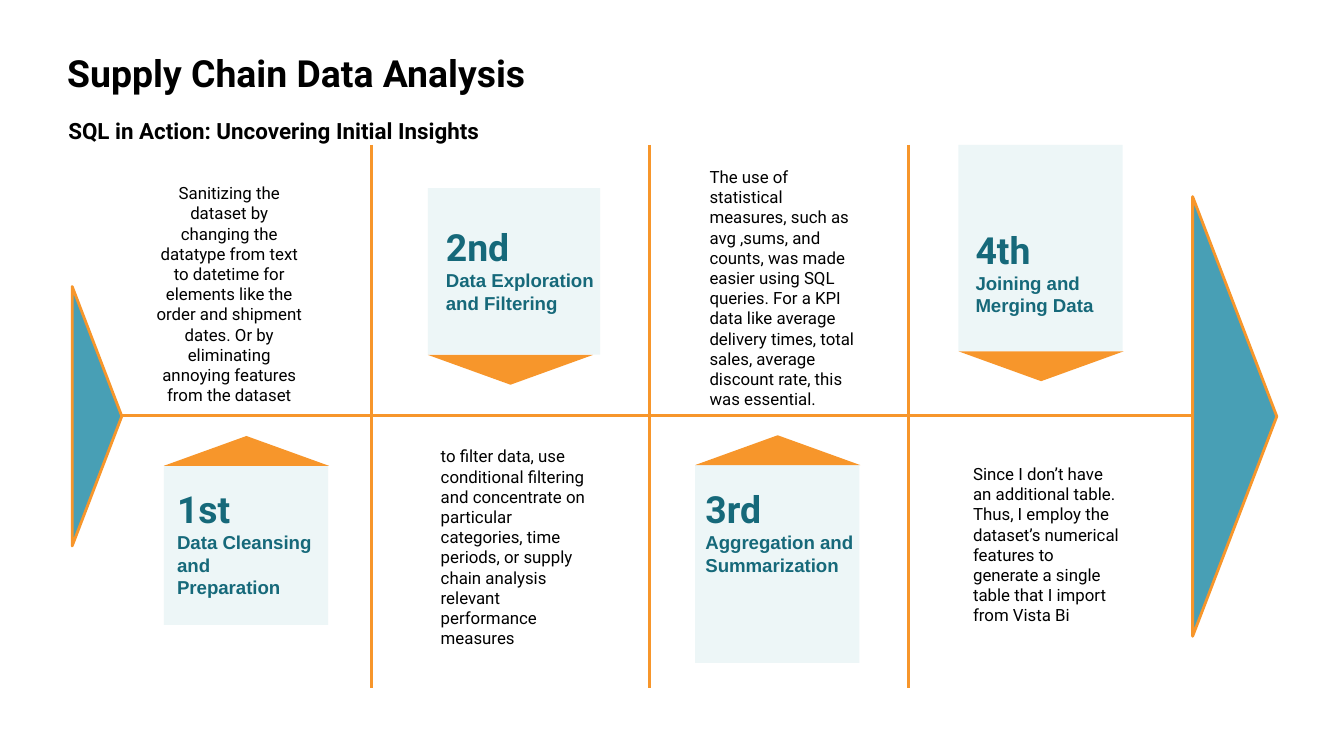
from dataclasses import dataclass

from lxml import etree
from pptx import Presentation
from pptx.dml.color import RGBColor
from pptx.enum.shapes import MSO_CONNECTOR, MSO_SHAPE
from pptx.enum.text import MSO_ANCHOR, MSO_AUTO_SIZE, PP_ALIGN
from pptx.oxml.ns import qn
from pptx.util import Pt

STRAIGHT = MSO_CONNECTOR.STRAIGHT
RECTANGLE = MSO_SHAPE.RECTANGLE
TRIANGLE = MSO_SHAPE.ISOSCELES_TRIANGLE
TOP = MSO_ANCHOR.TOP
NO_AUTOFIT = MSO_AUTO_SIZE.NONE
LEFT = PP_ALIGN.LEFT
CENTER = PP_ALIGN.CENTER

BLACK = RGBColor(0x00, 0x00, 0x00)
TEAL = RGBColor(0x16, 0x69, 0x7A)
BLUE = RGBColor(0x48, 0x9F, 0xB5)
PALE = RGBColor(0x82, 0xC0, 0xCC)
ORANGE = RGBColor(0xF7, 0x96, 0x2B)

TITLE_FONT = {"name": "Roboto", "size": Pt(20), "bold": True}
SUBTITLE_FONT = {"name": "Roboto", "size": Pt(12), "bold": True}
LABEL_FONT = {"name": "Arial", "size": Pt(10), "bold": True}
BODY_FONT = {"name": "Roboto", "size": Pt(9), "bold": False}

INSET = 7.2
LINE_WIDTH = 1.5
POINTER_WIDTH, POINTER_HEIGHT = 88.5, 16
CARD_ALPHA = 14
AXIS_Y = 222.8


@dataclass(frozen=True)
class Box:
    left: float
    top: float
    width: float
    height: float

    def lengths(self) -> list:
        return [Pt(value) for value in (self.left, self.top, self.width, self.height)]


@dataclass(frozen=True)
class Step:
    number: str
    label: str
    detail: str
    card: Box
    heading_box: Box
    detail_box: Box
    alignment: PP_ALIGN = LEFT


STEPS = [
    Step("1st", "Data Cleansing and Preparation",
         "Sanitizing the dataset by changing the datatype from text to datetime for "
         "elements like the order and shipment dates. Or by eliminating annoying "
         "features from the dataset",
         Box(87.8, 249.6, 88, 85.2), Box(87.8, 253.4, 88, 75.6),
         Box(75.6, 90.7, 94.3, 126), CENTER),
    Step("2nd", "Data Exploration and Filtering",
         "to filter data, use conditional filtering and concentrate on particular "
         "categories, time periods, or supply chain analysis relevant performance measures",
         Box(229.2, 100.8, 92.4, 89.3), Box(231.8, 113, 94.3, 75.6),
         Box(229, 231.8, 94.3, 165)),
    Step("3rd", "Aggregation and Summarization",
         "The use of statistical measures, such as avg ,sums, and counts, was made "
         "easier using SQL queries. For a KPI data like average delivery times, total "
         "sales, average discount rate, this was essential.",
         Box(372.4, 249.2, 88, 106), Box(370.8, 253.4, 102.2, 75.6),
         Box(373, 82.1, 94.3, 136.8)),
    Step("4th", "Joining and Merging Data",
         "Since I don’t have an additional table. Thus, I employ the dataset’s numerical "
         "features to generate a single table that I import from Vista Bi",
         Box(513.5, 77.6, 88, 110.6), Box(515.5, 114.3, 94.3, 75.6),
         Box(514.2, 241.2, 94.3, 87.8)),
]

DIVIDERS = [199, 348, 486.8]
DIVIDER_TOP, DIVIDER_BOTTOM = 77.6, 368.6
START_ARROW = Box(38.7, 153.5, 26.6, 139)
END_ARROW = Box(638.9, 105.3, 45.1, 235.6)


def prepare_frame(frame, vertical_inset: float = INSET) -> None:
    settings = {
        "word_wrap": True, "auto_size": NO_AUTOFIT, "vertical_anchor": TOP,
        "margin_left": Pt(INSET), "margin_right": Pt(INSET),
        "margin_top": Pt(vertical_inset), "margin_bottom": Pt(vertical_inset),
    }
    for name, value in settings.items():
        setattr(frame, name, value)


def write_paragraph(paragraph, text: str, font: dict, color: RGBColor,
                    alignment: PP_ALIGN = LEFT) -> None:
    paragraph.alignment = alignment
    run = paragraph.add_run()
    run.text = text
    for name, value in font.items():
        setattr(run.font, name, value)
    run.font.color.rgb = color


def add_text(slide, box: Box, vertical_inset: float = INSET):
    frame = slide.shapes.add_textbox(*box.lengths()).text_frame
    prepare_frame(frame, vertical_inset)
    return frame


def add_line(slide, start: tuple, end: tuple) -> None:
    connector = slide.shapes.add_connector(
        STRAIGHT, *[Pt(value) for value in (*start, *end)])
    connector.line.color.rgb = ORANGE
    connector.line.width = Pt(LINE_WIDTH)
    etree.SubElement(connector._element.spPr, qn("a:effectLst"))


def fill_shape(shape, color: RGBColor) -> None:
    shape.shadow.inherit = False
    shape.fill.solid()
    shape.fill.fore_color.rgb = color
    shape.line.fill.background()


def add_side_arrow(slide, box: Box) -> None:
    builder = slide.shapes.build_freeform(Pt(box.left), Pt(box.top))
    builder.add_line_segments([
        (Pt(box.left), Pt(box.top + box.height)),
        (Pt(box.left + box.width), Pt(box.top + box.height / 2)),
    ], close=True)
    shape = builder.convert_to_shape()
    fill_shape(shape, BLUE)
    shape.line.color.rgb = ORANGE
    shape.line.width = Pt(LINE_WIDTH)


def add_card(slide, card: Box) -> None:
    shape = slide.shapes.add_shape(RECTANGLE, *card.lengths())
    fill_shape(shape, PALE)
    color = shape._element.spPr.find(qn("a:solidFill"))[0]
    etree.SubElement(color, qn("a:alpha"), val=str(CARD_ALPHA * 1000))

    below_axis = card.top > AXIS_Y
    pointer_top = card.top - POINTER_HEIGHT if below_axis else card.top + card.height
    pointer_box = Box(card.left, pointer_top, POINTER_WIDTH, POINTER_HEIGHT)
    pointer = slide.shapes.add_shape(TRIANGLE, *pointer_box.lengths())
    fill_shape(pointer, ORANGE)
    pointer.rotation = 0 if below_axis else 180


def add_step(slide, step: Step) -> None:
    add_card(slide, step.card)
    heading = add_text(slide, step.heading_box)
    write_paragraph(heading.paragraphs[0], step.number, TITLE_FONT, TEAL)
    write_paragraph(heading.add_paragraph(), step.label, LABEL_FONT, TEAL)
    detail = add_text(slide, step.detail_box)
    write_paragraph(detail.paragraphs[0], step.detail, BODY_FONT, BLACK, step.alignment)


def add_titles(slide) -> None:
    title = slide.shapes.title
    title.left, title.top, title.width, title.height = Box(28.8, 19.6, 320, 37.4).lengths()
    prepare_frame(title.text_frame)
    write_paragraph(title.text_frame.paragraphs[0], "Supply Chain Data Analysis",
                    TITLE_FONT, BLACK)
    subtitle = add_text(slide, Box(29.5, 59, 304.6, 21.6), INSET / 2)
    write_paragraph(subtitle.paragraphs[0], "SQL in Action: Uncovering Initial Insights",
                    SUBTITLE_FONT, BLACK)


def main() -> None:
    presentation = Presentation()
    presentation.slide_width, presentation.slide_height = Pt(720), Pt(405)
    slide = presentation.slides.add_slide(presentation.slide_layouts[5])
    add_titles(slide)
    add_line(slide, (46, AXIS_Y), (684, AXIS_Y))
    for x in DIVIDERS:
        add_line(slide, (x, DIVIDER_TOP), (x, DIVIDER_BOTTOM))
    for arrow in (START_ARROW, END_ARROW):
        add_side_arrow(slide, arrow)
    for step in STEPS:
        add_step(slide, step)
    presentation.save("out.pptx")


if __name__ == "__main__":
    main()
